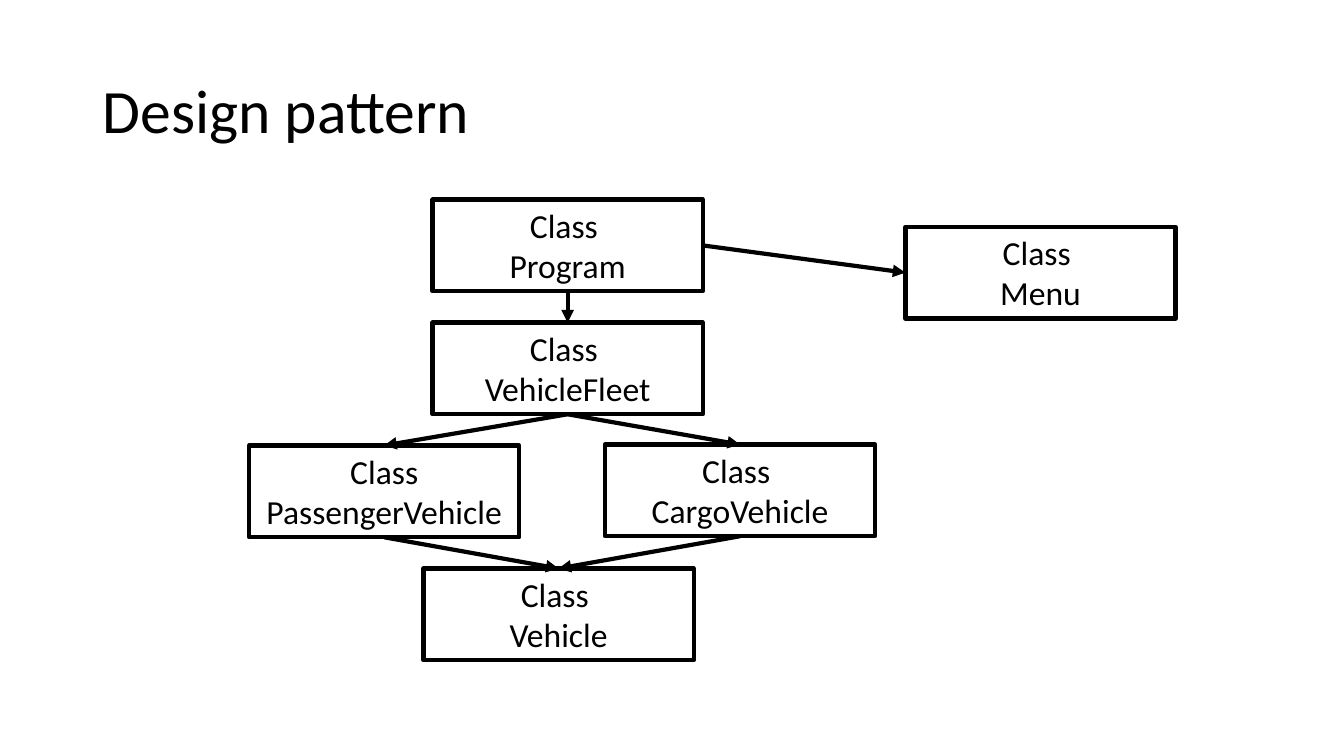
from lxml import etree
from pptx import Presentation
from pptx import util as u
from pptx.dml.color import RGBColor
from pptx.enum import shapes, text
from pptx.oxml import ns

PX = u.Inches(1) // 100
COLORS = {"ink": "000000", "paper": "FFFFFF"}
FONT = "Calibri"
BOX_WIDTH, BOX_HEIGHT = 268, 91
TOP, LEFT, BOTTOM, RIGHT = range(4)

CLASSES = {
    "Vehicle": (420, 564, ["Class ", "Vehicle"]),
    "PassengerVehicle": (247, 442, ["Class PassengerVehicle"]),
    "CargoVehicle": (600, 441, ["Class ", "CargoVehicle"]),
    "VehicleFleet": (429, 320, ["Class ", "VehicleFleet"]),
    "Menu": (898, 225, ["Class ", "Menu"]),
    "Program": (429, 198, ["Class ", "Program"]),
}
ARROWS = [
    ("PassengerVehicle", BOTTOM, "Vehicle", TOP),
    ("CargoVehicle", BOTTOM, "Vehicle", TOP),
    ("VehicleFleet", BOTTOM, "PassengerVehicle", TOP),
    ("VehicleFleet", BOTTOM, "CargoVehicle", TOP),
    ("Program", RIGHT, "Menu", LEFT),
    ("Program", BOTTOM, "VehicleFleet", TOP),
]


def color(name):
    return RGBColor.from_string(COLORS[name])


def apply_format(target, values):
    for name, value in values.items():
        setattr(target, name, value)


def place(left, top, width, height):
    return {"left": left * PX, "top": top * PX, "width": width * PX, "height": height * PX}


def format_paragraph(paragraph, size, **values):
    apply_format(paragraph, values)
    apply_format(paragraph.font, {"name": FONT, "size": u.Pt(size)})
    paragraph.font.color.rgb = color("ink")


def format_line(line):
    line.color.rgb = color("ink")
    line.width = u.Pt(3)


def add_title(slide, wording):
    title = slide.shapes.title
    apply_format(title, place(92, 40, 1150, 145))
    title.text_frame.text = wording
    title.text_frame.vertical_anchor = text.MSO_ANCHOR.MIDDLE
    format_paragraph(title.text_frame.paragraphs[0], 44,
                     alignment=text.PP_ALIGN.LEFT, line_spacing=0.9)


def add_class_box(slide, left, top, lines):
    box = slide.shapes.add_shape(shapes.MSO_SHAPE.RECTANGLE,
                                 **place(left, top, BOX_WIDTH, BOX_HEIGHT))
    box.shadow.inherit = False
    box.fill.solid()
    box.fill.fore_color.rgb = color("paper")
    format_line(box.line)
    frame = box.text_frame
    apply_format(frame, {"word_wrap": True, "vertical_anchor": text.MSO_ANCHOR.TOP,
                         "auto_size": text.MSO_AUTO_SIZE.SHAPE_TO_FIT_TEXT})
    frame.text = "\n".join(lines)
    for paragraph in frame.paragraphs:
        format_paragraph(paragraph, 24, alignment=text.PP_ALIGN.CENTER)
    return box


def add_arrow(slide, source, source_side, target, target_side):
    arrow = slide.shapes.add_connector(shapes.MSO_CONNECTOR.STRAIGHT, 0, 0, 0, 0)
    arrow.begin_connect(source, source_side)
    arrow.end_connect(target, target_side)
    format_line(arrow.line)
    etree.SubElement(arrow.line._get_or_add_ln(), ns.qn("a:tailEnd"), type="triangle")
    etree.SubElement(arrow._element.spPr, ns.qn("a:effectLst"))


def main():
    presentation = Presentation()
    apply_format(presentation, {"slide_width": 1333 * PX, "slide_height": 750 * PX})
    slide = presentation.slides.add_slide(presentation.slide_layouts[5])
    add_title(slide, "Design pattern")
    boxes = {name: add_class_box(slide, *values) for name, values in CLASSES.items()}
    for source, source_side, target, target_side in ARROWS:
        add_arrow(slide, boxes[source], source_side, boxes[target], target_side)
    presentation.save("out.pptx")


if __name__ == "__main__":
    main()
